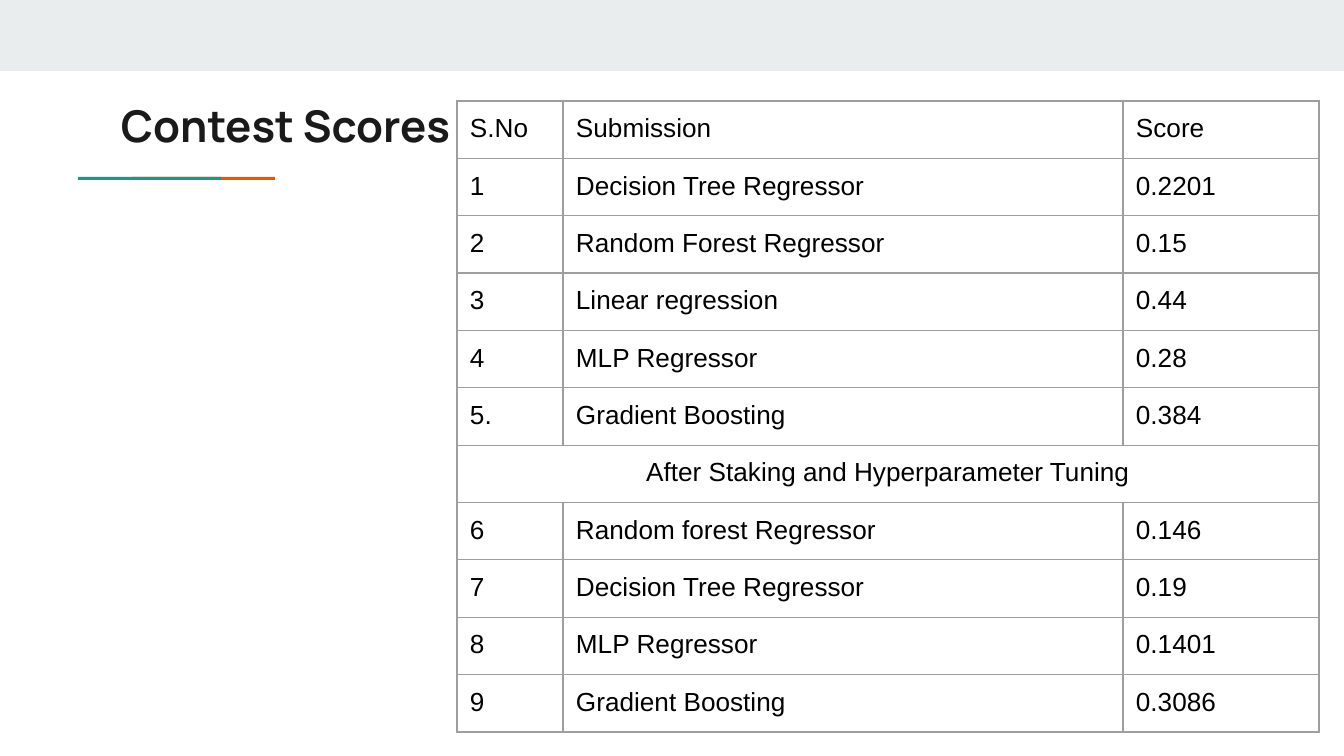
"""Build a slide with a table of regression scores beside its title."""
from dataclasses import dataclass

from lxml.etree import SubElement
from pptx import Presentation
from pptx.dml.color import RGBColor
from pptx.enum.shapes import MSO_SHAPE
from pptx.enum.text import MSO_ANCHOR, PP_ALIGN
from pptx.oxml.ns import qn
from pptx.slide import Slide
from pptx.table import _Cell
from pptx.util import Emu, Pt

EMU_PER_PX = 914400 / 134.4
INSET = 13
ROW_HEIGHT = 51
COLUMN_WIDTHS = (106, 560, 196)

WHITE = RGBColor(0xFF, 0xFF, 0xFF)
BLACK = RGBColor(0x00, 0x00, 0x00)
INK = RGBColor(0x1A, 0x1A, 0x1A)
BAND_GRAY = RGBColor(0xE9, 0xED, 0xEE)
ORANGE = RGBColor(0xEB, 0x56, 0x00)
TEAL = RGBColor(0x1A, 0x99, 0x88)
BORDER_GRAY = RGBColor(0x9E, 0x9E, 0x9E)


@dataclass(frozen=True)
class Bar:
    left: int
    top: int
    width: int
    height: int
    color: RGBColor


BARS = (
    Bar(0, 0, 1344, 71, BAND_GRAY),
    Bar(132, 177, 143, 3, ORANGE),
    Bar(78, 177, 143, 3, TEAL),
)

ROWS = (
    ("S.No", "Submission", "Score"),
    ("1", "Decision Tree Regressor", "0.2201"),
    ("2", "Random Forest Regressor", "0.15"),
    ("3", "Linear regression", "0.44"),
    ("4", "MLP Regressor", "0.28"),
    ("5.", "Gradient Boosting", "0.384"),
    ("After Staking and Hyperparameter Tuning",),
    ("6", "Random forest Regressor", "0.146"),
    ("7", "Decision Tree Regressor", "0.19"),
    ("8", "MLP Regressor", "0.1401"),
    ("9", "Gradient Boosting", "0.3086"),
)


def px(length: int) -> Emu:
    return Emu(round(length * EMU_PER_PX))


def add_bar(slide: Slide, bar: Bar) -> None:
    shape = slide.shapes.add_shape(
        MSO_SHAPE.RECTANGLE, px(bar.left), px(bar.top), px(bar.width), px(bar.height)
    )
    shape.shadow.inherit = False
    shape.fill.solid()
    shape.fill.fore_color.rgb = bar.color
    shape.line.fill.background()


def add_title(slide: Slide, text: str) -> None:
    shape = slide.shapes.add_textbox(px(108), px(86), px(1130), px(79))
    text_frame = shape.text_frame
    text_frame.word_wrap = True
    text_frame.vertical_anchor = MSO_ANCHOR.TOP
    text_frame.margin_left = text_frame.margin_right = px(INSET)
    text_frame.margin_top = text_frame.margin_bottom = px(INSET)
    text_frame.text = text
    font = text_frame.paragraphs[0].runs[0].font
    font.name = "Manrope"
    font.size = Pt(23.4)
    font.bold = True
    font.color.rgb = INK


def style_cell(cell: _Cell) -> None:
    cell.margin_left = cell.margin_right = px(INSET)
    cell.margin_top = cell.margin_bottom = px(INSET)
    properties = cell._tc.get_or_add_tcPr()
    for side in ("a:lnL", "a:lnR", "a:lnT", "a:lnB"):
        border = SubElement(properties, qn(side), w=str(Pt(0.75)))
        fill = SubElement(border, qn("a:solidFill"))
        SubElement(fill, qn("a:srgbClr"), val=str(BORDER_GRAY))
    cell.fill.background()


def write_cell(cell: _Cell, text: str) -> None:
    cell.text_frame.text = text
    font = cell.text_frame.paragraphs[0].runs[0].font
    font.name = "Arial"
    font.size = Pt(14)
    font.color.rgb = BLACK


def add_score_table(slide: Slide) -> None:
    table = slide.shapes.add_table(
        len(ROWS), len(COLUMN_WIDTHS), px(457), px(101),
        px(sum(COLUMN_WIDTHS)), px(ROW_HEIGHT * len(ROWS)),
    ).table
    table.first_row = table.horz_banding = False
    for column, width in zip(table.columns, COLUMN_WIDTHS):
        column.width = px(width)
    for row_index, values in enumerate(ROWS):
        table.rows[row_index].height = px(ROW_HEIGHT)
        for cell in table.rows[row_index].cells:
            style_cell(cell)
        for column_index, value in enumerate(values):
            write_cell(table.cell(row_index, column_index), value)
        if len(values) == 1:
            heading = table.cell(row_index, 0)
            heading.merge(table.cell(row_index, len(COLUMN_WIDTHS) - 1))
            heading.text_frame.paragraphs[0].alignment = PP_ALIGN.CENTER


def main() -> None:
    presentation = Presentation()
    presentation.slide_width = px(1344)
    presentation.slide_height = px(756)
    slide = presentation.slides.add_slide(presentation.slide_layouts[6])
    slide.background.fill.solid()
    slide.background.fill.fore_color.rgb = WHITE
    for bar in BARS:
        add_bar(slide, bar)
    add_title(slide, "Contest Scores")
    add_score_table(slide)
    presentation.save("out.pptx")


if __name__ == "__main__":
    main()
